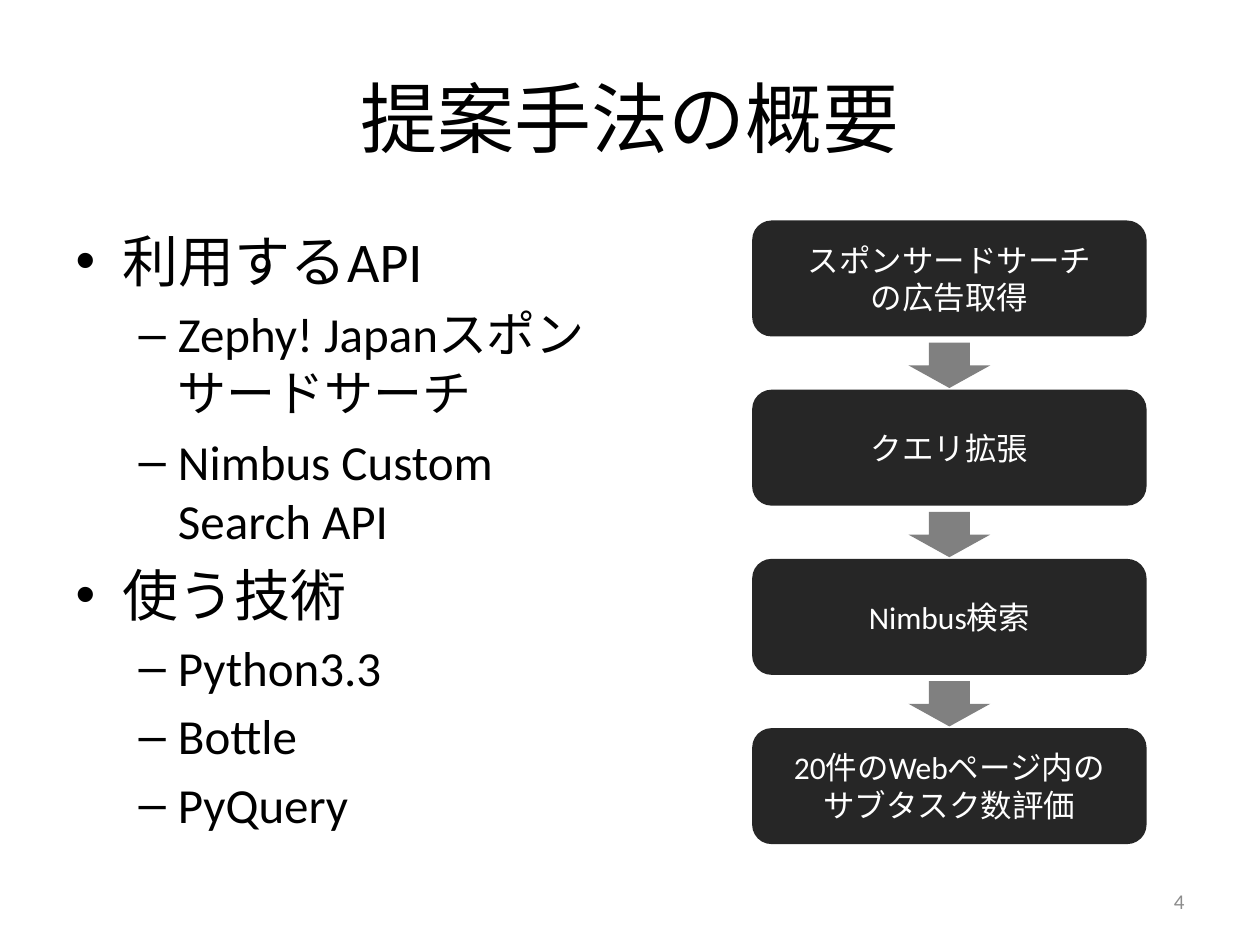
from dataclasses import dataclass

from pptx import Presentation
from pptx.dml.color import RGBColor
from pptx.enum.shapes import MSO_SHAPE
from pptx.enum.text import MSO_ANCHOR, MSO_AUTO_SIZE, PP_ALIGN
from pptx.util import Inches, Pt

ROUND_RECT, DOWN_ARROW = MSO_SHAPE.ROUNDED_RECTANGLE, MSO_SHAPE.DOWN_ARROW
MIDDLE, NO_FIT = MSO_ANCHOR.MIDDLE, MSO_AUTO_SIZE.NONE
CENTER, RIGHT = PP_ALIGN.CENTER, PP_ALIGN.RIGHT

BLACK = RGBColor(0x00, 0x00, 0x00)
WHITE = RGBColor(0xFF, 0xFF, 0xFF)
STEP_FILL = RGBColor(0x26, 0x26, 0x26)
ARROW_FILL = RGBColor(0x80, 0x80, 0x80)
NUMBER_GRAY = RGBColor(0x8C, 0x8C, 0x8C)
FONT = "Calibri"


@dataclass
class Line:
    text: str
    size: int
    color: RGBColor = BLACK
    level: int = 0
    align: PP_ALIGN | None = None


@dataclass
class Box:
    left: float
    top: float
    width: float
    height: float

    def lengths(self) -> list:
        return [Inches(v) for v in (self.left, self.top, self.width, self.height)]


def place(sp, box: Box) -> None:
    sp.left, sp.top, sp.width, sp.height = box.lengths()


def write(tf, lines: list[Line]) -> None:
    """Fill a text frame with one paragraph per line."""
    tf.word_wrap = True
    tf.auto_size = NO_FIT
    for i, line in enumerate(lines):
        p = tf.paragraphs[0] if i == 0 else tf.add_paragraph()
        p.level = line.level
        if line.align is not None:
            p.alignment = line.align
        r = p.add_run()
        r.text = line.text
        r.font.color.rgb = line.color
        for name, value in {"name": FONT, "size": Pt(line.size)}.items():
            setattr(r.font, name, value)


def add_shape(s, kind: MSO_SHAPE, box: Box, fill: RGBColor):
    sp = s.shapes.add_shape(kind, *box.lengths())
    sp.shadow.inherit = False
    sp.fill.solid()
    sp.fill.fore_color.rgb = fill
    sp.line.fill.background()
    return sp


STEPS = [
    ["スポンサードサーチ", "の広告取得"],
    ["クエリ拡張"],
    ["Nimbus検索"],
    ["20件のWebページ内の", "サブタスク数評価"],
]
BODY = [
    (0, "利用するAPI"),
    (1, "Zephy! Japanスポンサードサーチ"),
    (1, "Nimbus Custom Search API"),
    (0, "使う技術"),
    (1, "Python3.3"),
    (1, "Bottle"),
    (1, "PyQuery"),
]
BODY_SIZES = (32, 28)
FIRST_STEP = Box(5.97, 1.75, 3.13, 0.92)
STEP_PITCH = 1.343
ARROW_W, ARROW_H, ARROW_GAP = 0.65, 0.36, 0.05


def add_flow(s) -> None:
    """Stack the steps at an even pitch with a centred arrow between them."""
    b = FIRST_STEP
    for i, texts in enumerate(STEPS):
        top = b.top + i * STEP_PITCH
        sp = add_shape(s, ROUND_RECT, Box(b.left, top, b.width, b.height), STEP_FILL)
        sp.text_frame.vertical_anchor = MIDDLE
        write(sp.text_frame, [Line(t, 18, WHITE, align=CENTER) for t in texts])
        if i < len(STEPS) - 1:
            left = b.left + (b.width - ARROW_W) / 2
            arrow_top = top + b.height + ARROW_GAP
            add_shape(s, DOWN_ARROW, Box(left, arrow_top, ARROW_W, ARROW_H), ARROW_FILL)


def main() -> None:
    prs = Presentation()
    prs.slide_width, prs.slide_height = Inches(10), Inches(7.5)
    s = prs.slides.add_slide(prs.slide_layouts[1])

    # Title and list
    title, body = s.placeholders
    place(title, Box(0.5, 0.3, 9, 1.25))
    title.text_frame.vertical_anchor = MIDDLE
    write(title.text_frame, [Line("提案手法の概要", 44, align=CENTER)])
    place(body, Box(0.5, 1.75, 4.5, 4.95))
    write(body.text_frame, [Line(t, BODY_SIZES[lv], level=lv) for lv, t in BODY])

    # Slide number
    number = s.shapes.add_textbox(*Box(7.17, 6.95, 2.33, 0.4).lengths())
    number.text_frame.vertical_anchor = MIDDLE
    write(number.text_frame, [Line("4", 12, NUMBER_GRAY, align=RIGHT)])

    # Process flow
    add_flow(s)
    prs.save("out.pptx")


if __name__ == "__main__":
    main()
